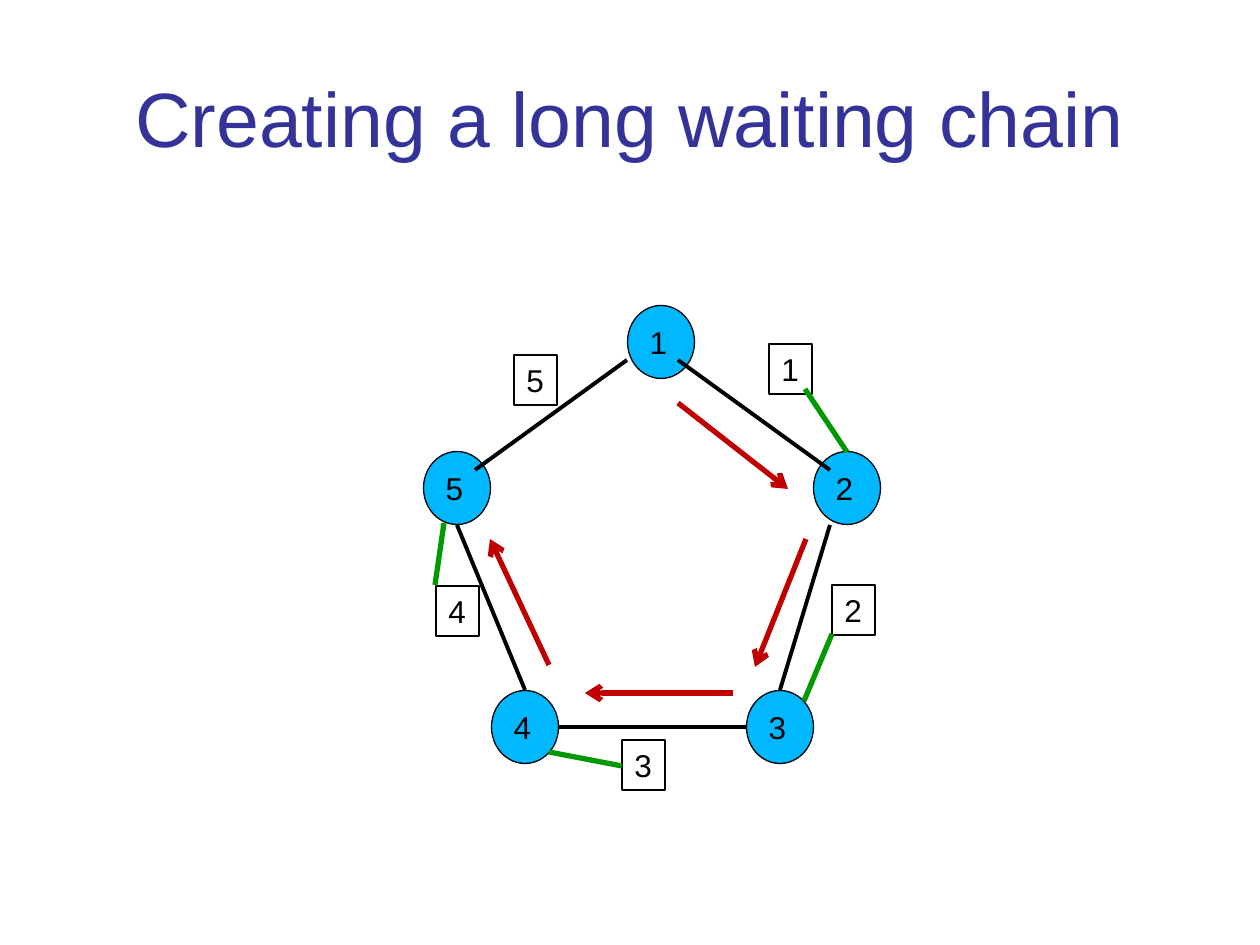
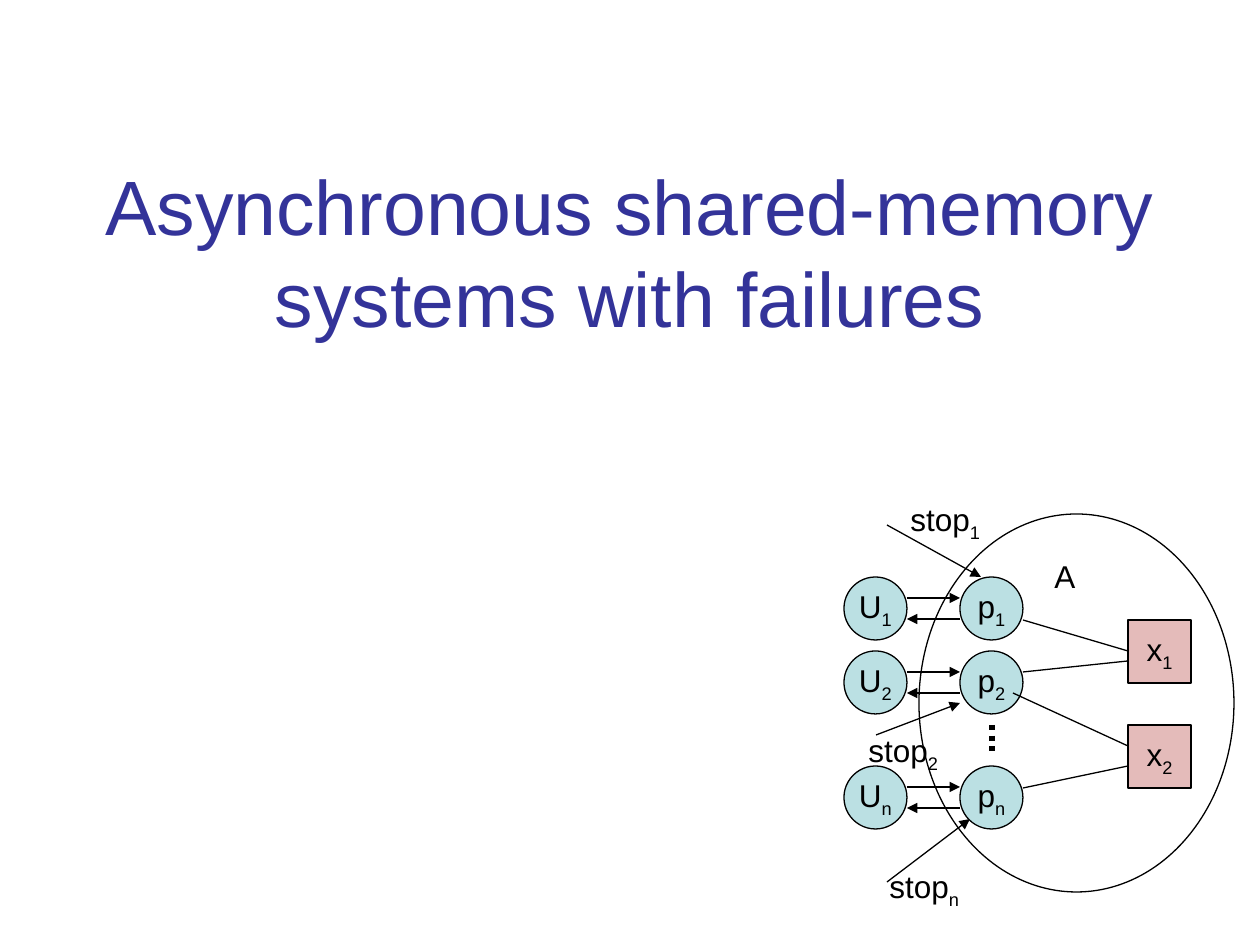
from pptx import Presentation
from pptx.dml.color import RGBColor
from pptx.enum.dml import MSO_LINE
from pptx.enum.shapes import MSO_CONNECTOR, MSO_SHAPE
from pptx.enum.text import MSO_ANCHOR, MSO_AUTO_SIZE, PP_ALIGN
from pptx.oxml.ns import qn
from pptx.util import Emu, Pt
from lxml.etree import SubElement

# Shared style
PX = 914400 / 126
FONT = "Arial"
BLACK, TITLE_BLUE = "000000", "333399"
NODE_BLUE, HELD_GREEN, WAIT_RED = "00B8FF", "009900", "C00000"
PROCESS_TEAL, VARIABLE_PINK = "BBE0E3", "E4BBBA"

# Content of the waiting chain: centres of nodes, corners of forks, line ends
CHAIN_TITLE = "Creating a long waiting chain"
NODE_SIZE, FORK_SIZE = (67, 73), (43, 50)
NODES = {"1": (661, 342), "5": (457, 488), "2": (847, 488),
         "4": (525, 727), "3": (780, 727)}
FORKS = {"1": (769, 344), "5": (514, 355), "4": (436, 586),
         "3": (622, 740), "2": (832, 585)}
BASE_EDGE = (762, 727, 559, 727)
EDGES = [(830, 525, 780, 690), (525, 690, 457, 525),
         (627, 360, 475, 470), (830, 470, 678, 360)]
HELD = [(847, 452, 805, 389), (435, 585, 444, 523),
        (549, 752, 622, 766), (804, 701, 832, 634)]
WAITS = [(678, 403, 788, 489), (549, 665, 490, 539),
         (733, 693, 585, 693), (806, 539, 755, 667)]

# Content of the shared-memory system; "_" marks a subscript
MEMORY_TITLE = "Asynchronous shared-memory systems with failures"
CELL = 63
USER_LEFT, PROCESS_LEFT, VARIABLE_LEFT = 844, 960, 1128
ROWS = {"1": 577, "2": 651, "n": 766}
VARIABLES = {"1": 620, "2": 725}
SYSTEM = (919, 514, 315, 378)
ELLIPSIS = (992, 725, 992, 756)
ACCESSES = [(1023, 620, 1128, 651), (1023, 672, 1128, 661),
            (1013, 693, 1128, 746), (1023, 788, 1128, 766)]
STOPS = {"n": ((887, 882, 970, 819), (877, 861)),
         "1": ((887, 525, 981, 577), (898, 494)),
         "2": ((876, 735, 960, 703), (856, 725))}


def px(*lengths):
    return [Emu(round(length * PX)) for length in lengths]


def rgb(value):
    return RGBColor.from_string(value)


def style_font(font, size, color):
    font.name, font.size = FONT, Pt(size)
    font.color.rgb = rgb(color)


def write(shape, label, align, anchor):
    frame = shape.text_frame
    frame.word_wrap = False
    frame.auto_size = MSO_AUTO_SIZE.NONE
    frame.vertical_anchor = anchor
    base, _, subscript = label.partition("_")
    paragraph = frame.paragraphs[0]
    paragraph.text = base
    paragraph.alignment = align
    if subscript:
        run = paragraph.add_run()
        run.text = subscript
        run.font._element.set("baseline", "-25000")
    for run in paragraph.runs:
        style_font(run.font, 18, BLACK)


def add_box(slide, kind, box, label="", fill=None,
            align=PP_ALIGN.CENTER, anchor=MSO_ANCHOR.MIDDLE):
    shape = slide.shapes.add_shape(kind, *px(*box))
    shape.shadow.inherit = False
    if fill:
        shape.fill.solid()
        shape.fill.fore_color.rgb = rgb(fill)
    else:
        shape.fill.background()
    shape.line.color.rgb = rgb(BLACK)
    shape.line.width = Pt(0.75)
    if label:
        write(shape, label, align, anchor)


def add_label(slide, box, label):
    write(slide.shapes.add_textbox(*px(*box)), label, PP_ALIGN.LEFT, MSO_ANCHOR.TOP)


def add_line(slide, ends, color=BLACK, width=0.75, arrow=None, dash=None):
    line = slide.shapes.add_connector(MSO_CONNECTOR.STRAIGHT, *px(*ends))
    line.line.color.rgb = rgb(color)
    line.line.width = Pt(width)
    if dash:
        line.line.dash_style = dash
    properties = line._element.spPr
    if arrow:
        SubElement(properties.find(qn("a:ln")), qn("a:tailEnd"), type=arrow)
    SubElement(properties, qn("a:effectLst"))


def add_titled_slide(deck, text, height):
    slide = deck.slides.add_slide(deck.slide_layouts[5])
    title = slide.shapes.title
    title.left, title.top, title.width, title.height = px(63, 38, 1134, height)
    frame = title.text_frame
    frame.text = text
    frame.word_wrap = True
    frame.auto_size = MSO_AUTO_SIZE.NONE
    frame.vertical_anchor = MSO_ANCHOR.MIDDLE
    paragraph = frame.paragraphs[0]
    paragraph.alignment = PP_ALIGN.CENTER
    style_font(paragraph.runs[0].font, 44, TITLE_BLUE)
    return slide


def build_chain(deck):
    slide = add_titled_slide(deck, CHAIN_TITLE, 158)

    # Ring of nodes and edges
    add_line(slide, BASE_EDGE, width=2.25)
    width, height = NODE_SIZE
    for label, (x, y) in NODES.items():
        add_box(slide, MSO_SHAPE.OVAL, (x - width / 2, y - height / 2, width, height),
                label, NODE_BLUE, PP_ALIGN.LEFT)
    for edge in EDGES:
        add_line(slide, edge, width=2.25)

    # Forks, who holds them, and who waits for whom
    for label, corner in FORKS.items():
        add_box(slide, MSO_SHAPE.RECTANGLE, corner + FORK_SIZE, label,
                align=PP_ALIGN.LEFT, anchor=MSO_ANCHOR.TOP)
    for ends in HELD:
        add_line(slide, ends, HELD_GREEN, 3)
    for ends in WAITS:
        add_line(slide, ends, WAIT_RED, 3, "arrow")


def build_memory(deck):
    slide = add_titled_slide(deck, MEMORY_TITLE, 425)

    # System boundary and stop inputs
    for ends, _ in STOPS.values():
        add_line(slide, ends, arrow="triangle")
    add_box(slide, MSO_SHAPE.OVAL, SYSTEM)
    add_line(slide, ELLIPSIS, width=3, dash=MSO_LINE.ROUND_DOT)

    # Processes, their users and the channels between them
    for index, top in ROWS.items():
        for name, left in (("p", PROCESS_LEFT), ("U", USER_LEFT)):
            add_box(slide, MSO_SHAPE.OVAL, (left, top, CELL, CELL),
                    f"{name}_{index}", PROCESS_TEAL)
        user_edge = USER_LEFT + CELL
        request, reply = top + CELL / 3, top + CELL * 2 / 3
        add_line(slide, (user_edge, request, PROCESS_LEFT, request), arrow="triangle")
        add_line(slide, (PROCESS_LEFT, reply, user_edge, reply), arrow="triangle")

    # Shared variables
    for ends in ACCESSES:
        add_line(slide, ends)
    for index, top in VARIABLES.items():
        add_box(slide, MSO_SHAPE.RECTANGLE, (VARIABLE_LEFT, top, CELL, CELL),
                f"x_{index}", VARIABLE_PINK)

    # Labels
    add_label(slide, (1042, 551, 47, 50), "A")
    for index, (_, corner) in STOPS.items():
        add_label(slide, corner + (95, 55), f"stop_{index}")


def main():
    deck = Presentation()
    deck.slide_width, deck.slide_height = px(1260, 945)
    build_chain(deck)
    build_memory(deck)
    deck.save("out.pptx")


if __name__ == "__main__":
    main()
